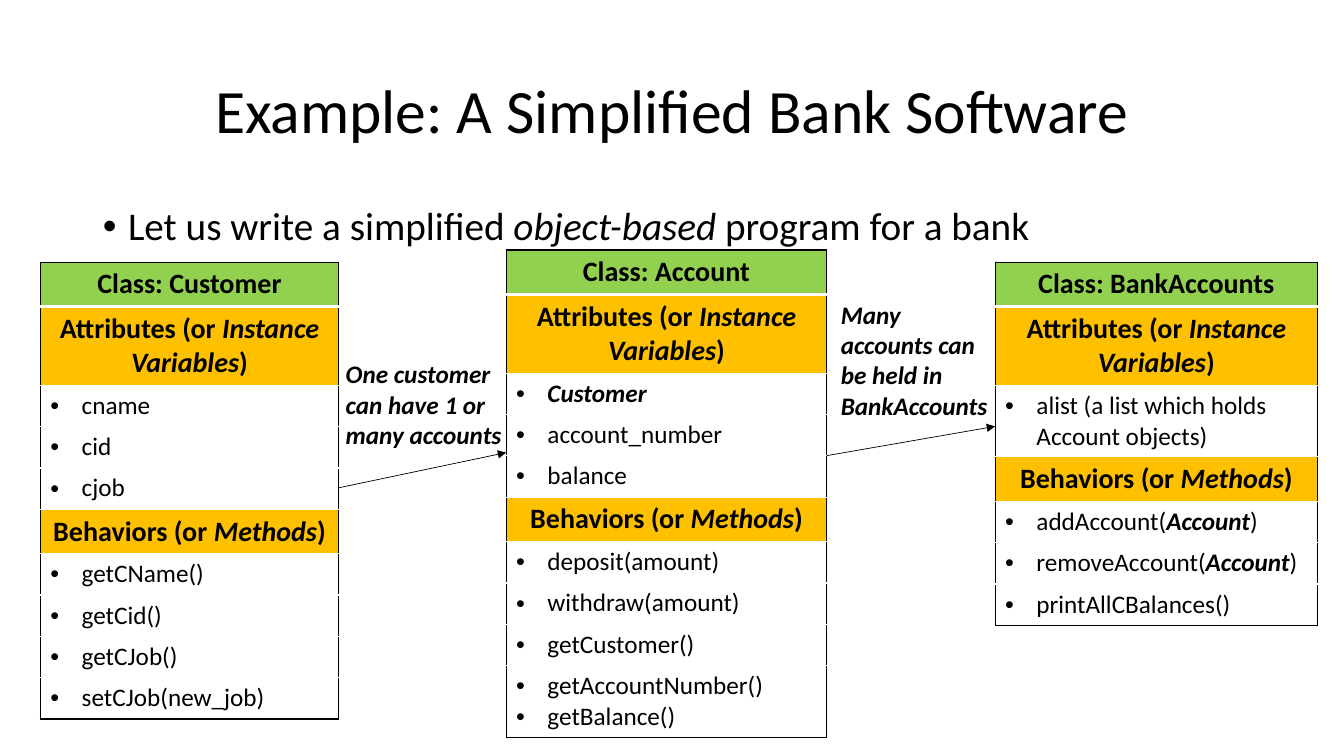
from pptx import Presentation
from pptx.dml.color import RGBColor
from pptx.enum.shapes import MSO_CONNECTOR
from pptx.enum.text import MSO_ANCHOR, MSO_AUTO_SIZE, PP_ALIGN
from pptx.oxml.ns import qn
from pptx.util import Inches, Pt
from lxml import etree

SLIDE_W, SLIDE_H = Inches(13.33), Inches(7.5)
LEFT, CENTER = PP_ALIGN.LEFT, PP_ALIGN.CENTER
MIDDLE = MSO_ANCHOR.MIDDLE
NO_FIT, GROW = MSO_AUTO_SIZE.NONE, MSO_AUTO_SIZE.SHAPE_TO_FIT_TEXT
STRAIGHT = MSO_CONNECTOR.STRAIGHT
FONT = "Calibri"
COLORS = {"ink": "000000", "rule": "FFFFFF", "name": "92D050", "section": "FFC000"}
ROW_SHARE = 5.47
ATTRIBUTES = "Attributes (or *Instance Variables*)"
METHODS = "Behaviors (or *Methods*)"

CLASSES = [
    {"name": "Customer", "box": (3, 34.67, 22.2),
     "attributes": ["cname", "cid", "cjob"],
     "methods": ["getCName()", "getCid()", "getCJob()", "setCJob(new_job)"]},
    {"name": "Account", "box": (37.66, 33.07, 23.86),
     "attributes": ["*Customer*", "account_number", "balance"],
     "methods": ["deposit(amount)", "withdraw(amount)", "getCustomer()",
                 "getAccountNumber()\ngetBalance()"]},
    {"name": "BankAccounts", "box": (74.04, 34.67, 24),
     "attributes": ["alist (a list which holds Account objects)"],
     "methods": ["addAccount(*Account*)", "removeAccount(*Account*)",
                 "printAllCBalances()"]},
]
RELATIONS = [
    {"text": "One customer\ncan have 1 or\nmany accounts",
     "box": (24.98, 46.8, 13.2, 13.47), "heights": (64.53, 59.87)},
    {"text": "Many accounts can\nbe held in\nBankAccounts",
     "box": (61.82, 38.93, 13.2, 17.47), "heights": (60.27, 56.4)},
]


def across(share):
    """Turn a percentage of the slide width into a length."""
    return int(SLIDE_W * share / 100)


def down(share):
    """Turn a percentage of the slide height into a length."""
    return int(SLIDE_H * share / 100)


def place(shape, box):
    """Move a shape into a box given in percentages of the slide."""
    left, top, width, height = box
    shape.left, shape.top = across(left), down(top)
    shape.width, shape.height = across(width), down(height)


def write(paragraph, text, size=18, bold=False, italic=False, strong=False,
          align=LEFT, hang=None):
    """Write text in which asterisks enclose italic words, bold too if strong."""
    paragraph.alignment = align
    for index, part in enumerate(text.split("*")):
        marked = index % 2 == 1
        for number, line in enumerate(part.split("\n")):
            if number:
                paragraph.add_line_break()
            if not line:
                continue
            run = paragraph.add_run()
            run.text = line
            font = run.font
            font.name, font.size = FONT, Pt(size)
            font.bold = bold or (marked and strong)
            font.italic = italic or marked
            font.color.rgb = RGBColor.from_string(COLORS["ink"])
    if hang:
        properties = paragraph._p.get_or_add_pPr()
        properties.set("marL", str(Inches(hang)))
        properties.set("indent", str(-Inches(hang)))
        etree.SubElement(properties, qn("a:buFont")).set("typeface", "Arial")
        etree.SubElement(properties, qn("a:buChar")).set("char", "•")


def add_heading(slide, box):
    """Fill the title placeholder."""
    title = slide.shapes.title
    place(title, box)
    frame = title.text_frame
    frame.auto_size, frame.vertical_anchor = NO_FIT, MIDDLE
    heading = frame.paragraphs[0]
    heading.line_spacing = 0.9
    write(heading, "Example: A Simplified Bank Software", size=44, align=CENTER)


def add_intro(slide, box):
    """Fill the body placeholder with the opening bullet."""
    body = slide.placeholders[1]
    place(body, box)
    body.text_frame.auto_size = NO_FIT
    intro = body.text_frame.paragraphs[0]
    intro.line_spacing, intro.space_before = 0.9, Pt(10)
    write(intro, "Let us write a simplified *object-based* program for a bank",
          size=28, hang=0.25)


def set_borders(cell, first, second, last):
    """Draw black sides and white rules, with a black outer edge."""
    edges = {
        "L": ("ink", 1),
        "R": ("ink", 1),
        "T": ("ink", 1) if first else ("rule", 3 if second else 1),
        "B": ("ink", 1) if last else ("rule", 3 if first else 1),
    }
    properties = cell._tc.get_or_add_tcPr()
    for side, (color, weight) in edges.items():
        edge = etree.SubElement(properties, qn(f"a:ln{side}"), w=str(Pt(weight)))
        fill = etree.SubElement(edge, qn("a:solidFill"))
        etree.SubElement(fill, qn("a:srgbClr"), val=COLORS[color])


def add_class(slide, box, name, attributes, methods):
    """Draw one class as a table of name, attributes and methods."""
    left, top, width = box
    rows = [("name", f"Class: {name}"), ("section", ATTRIBUTES)]
    rows += [("member", text) for text in attributes]
    rows += [("section", METHODS)]
    rows += [("member", text) for text in methods]
    table = slide.shapes.add_table(
        len(rows), 1, across(left), down(top), across(width),
        down(ROW_SHARE * len(rows))).table
    table.first_row = table.horz_banding = False
    for index, (kind, text) in enumerate(rows):
        cell = table.cell(index, 0)
        set_borders(cell, index == 0, index == 1, index == len(rows) - 1)
        frame = cell.text_frame
        if kind == "member":
            cell.fill.background()
            for number, member in enumerate(text.split("\n")):
                line = frame.add_paragraph() if number else frame.paragraphs[0]
                write(line, member, strong=True, hang=0.31)
        else:
            cell.fill.solid()
            cell.fill.fore_color.rgb = RGBColor.from_string(COLORS[kind])
            write(frame.paragraphs[0], text, size=20, bold=True, align=CENTER)


def add_relation(slide, source, target, text, box, heights):
    """Draw a labelled arrow between two neighbouring class boxes."""
    start, end = source[0] + source[2], target[0]
    arrow = slide.shapes.add_connector(
        STRAIGHT, across(start), down(heights[0]), across(end), down(heights[1]))
    arrow.line.color.rgb = RGBColor.from_string(COLORS["ink"])
    arrow.line.width = Pt(0.5)
    etree.SubElement(arrow.line._get_or_add_ln(), qn("a:tailEnd"), type="triangle")
    etree.SubElement(arrow._element.spPr, qn("a:effectLst"))
    label = slide.shapes.add_textbox(0, 0, 0, 0)
    place(label, box)
    label.text_frame.word_wrap = True
    label.text_frame.auto_size = GROW
    write(label.text_frame.paragraphs[0], text, bold=True, italic=True)


def main():
    """Build the slide and save it."""
    deck = Presentation()
    deck.slide_width, deck.slide_height = SLIDE_W, SLIDE_H
    slide = deck.slides.add_slide(deck.slide_layouts[1])
    add_heading(slide, (6.9, 5.33, 86.27, 19.33))
    add_intro(slide, (6.9, 26.67, 86.27, 70))
    for bank_class in CLASSES:
        add_class(slide, **bank_class)
    for source, target, relation in zip(CLASSES, CLASSES[1:], RELATIONS):
        add_relation(slide, source["box"], target["box"], **relation)
    deck.save("out.pptx")


if __name__ == "__main__":
    main()
